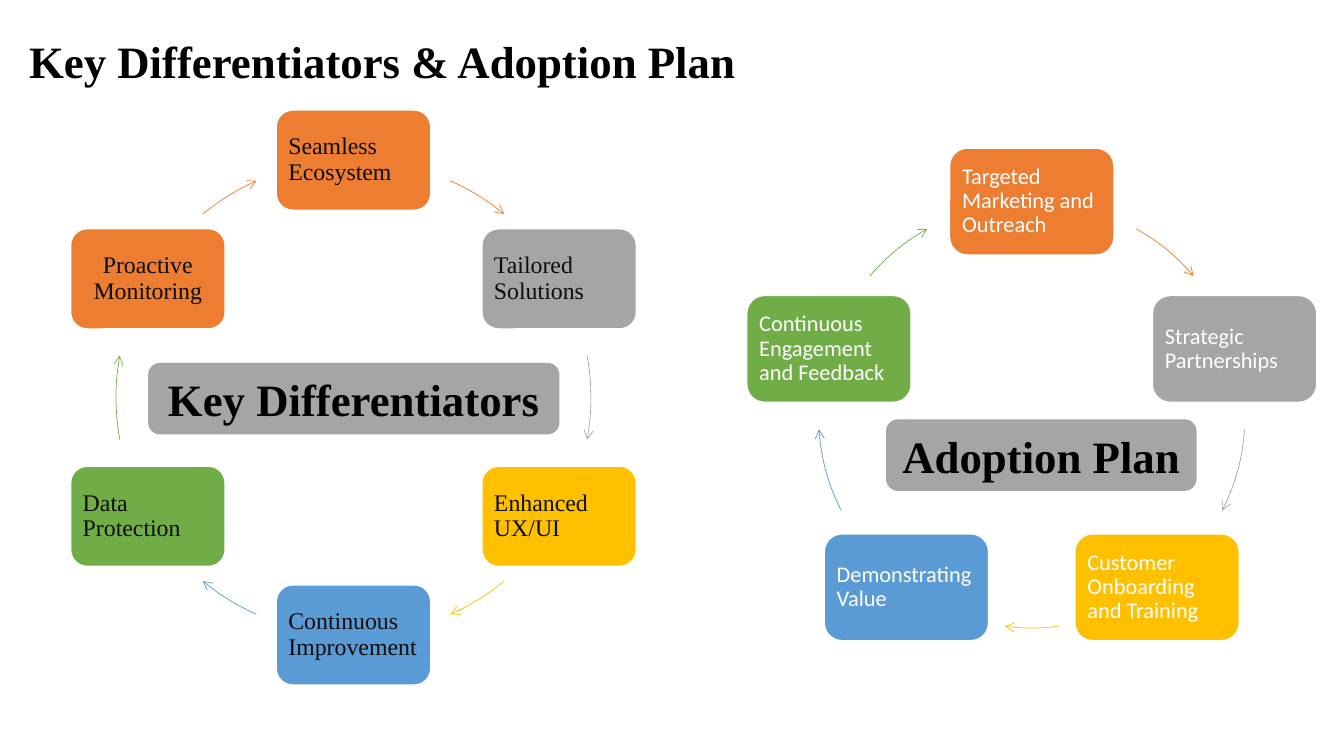
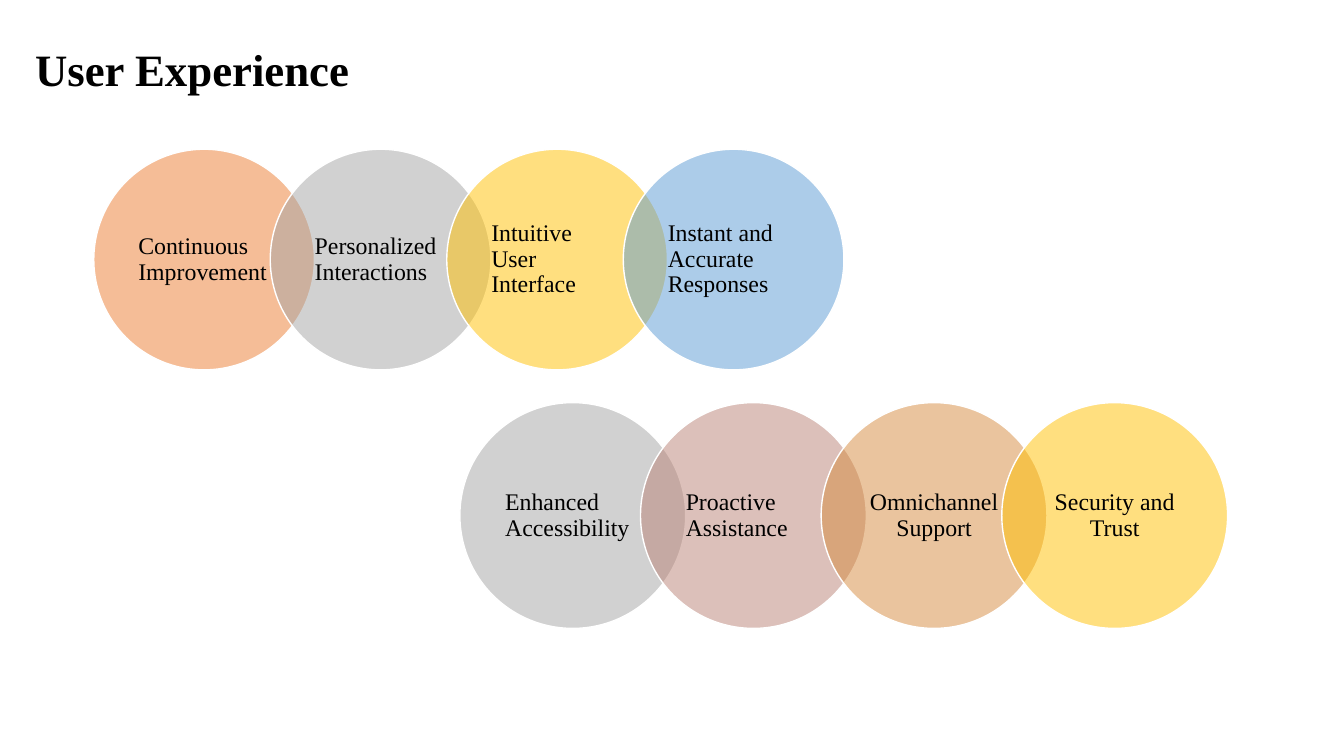
from math import cos, radians, sin

from lxml import etree
from pptx import Presentation
from pptx.dml.color import RGBColor
from pptx.enum import shapes, text
from pptx.oxml import ns
from pptx.util import Pt

BLACK = RGBColor(0x00, 0x00, 0x00)
INK = RGBColor(0x0D, 0x0D, 0x0D)
WHITE = RGBColor(0xFF, 0xFF, 0xFF)
ORANGE = RGBColor(0xED, 0x7D, 0x31)
GREY = RGBColor(0xA5, 0xA5, 0xA5)
GOLD = RGBColor(0xFF, 0xC0, 0x00)
BLUE = RGBColor(0x5B, 0x9B, 0xD5)
GREEN = RGBColor(0x70, 0xAD, 0x47)
ROSE = RGBColor(0xBB, 0x83, 0x76)
COPPER = RGBColor(0xD6, 0x8B, 0x3E)

SERIF, SANS = "Times New Roman", "Calibri"
LEFT, CENTER = text.PP_ALIGN.LEFT, text.PP_ALIGN.CENTER

HEADING = {"name": SERIF, "size": Pt(32), "bold": True}
SERIF_BODY = {"name": SERIF, "size": Pt(17)}
SANS_BODY = {"name": SANS, "size": Pt(16)}

# Every frame wraps; only margins and anchor differ.
TITLE_FRAME = {"margin_left": Pt(7.2), "margin_top": Pt(10.8),
               "vertical_anchor": text.MSO_ANCHOR.TOP}
LABEL_FRAME = {"vertical_anchor": text.MSO_ANCHOR.MIDDLE}
STEP_FRAME = LABEL_FRAME | {f"margin_{side}": Pt(5.2)
                            for side in ("left", "top", "right", "bottom")}
CIRCLE_FRAME = LABEL_FRAME | {"margin_left": Pt(8.7), "margin_right": Pt(8.7),
                              "margin_top": Pt(1.5), "margin_bottom": Pt(1.5)}
OVERLAP = 0.2


def apply(target, values):
    for name, value in values.items():
        setattr(target, name, value)


def write(shape, words, frame, font, color, align=LEFT, spacing=1.0):
    apply(shape.text_frame, {"word_wrap": True} | frame)
    paragraph = shape.text_frame.paragraphs[0]
    apply(paragraph, {"text": words, "alignment": align, "line_spacing": spacing})
    apply(paragraph.font, font)
    paragraph.font.color.rgb = color


def add_title(slide, words, left, top):
    box = slide.shapes.add_textbox(Pt(left), Pt(top), Pt(691), Pt(45.4))
    write(box, words, TITLE_FRAME, HEADING, BLACK)


def add_filled(slide, kind, left, top, width, height, color, outlined=True):
    shape = slide.shapes.add_shape(kind, Pt(left), Pt(top), Pt(width), Pt(height))
    shape.shadow.inherit = False
    shape.fill.solid()
    shape.fill.fore_color.rgb = color
    if outlined:
        shape.line.color.rgb = WHITE
        shape.line.width = Pt(1)
    else:
        shape.line.fill.background()
    return shape


def add_label(slide, words, left, top, width):
    label = add_filled(slide, shapes.MSO_SHAPE.ROUNDED_RECTANGLE,
                       left, top, width, 51.1, GREY, outlined=False)
    write(label, words, LABEL_FRAME, HEADING, BLACK, CENTER)


def add_arc_arrow(slide, center, radius, span, color):
    """Draw a clockwise arrow; span holds degrees from twelve o'clock."""
    x, y = center
    arc = slide.shapes.add_shape(shapes.MSO_SHAPE.ARC, Pt(x - radius), Pt(y - radius),
                                 Pt(2 * radius), Pt(2 * radius))
    arc.shadow.inherit = False
    arc.fill.background()
    for index, angle in enumerate(span):
        # An angle is stored in 1/60000 degree, an adjustment in 1/100000.
        arc.adjustments[index] = (angle - 90) % 360 * 0.6
    arc.line.color.rgb = color
    arc.line.width = Pt(0.5)
    etree.SubElement(arc.line._get_or_add_ln(), ns.qn("a:tailEnd"), type="arrow")


def add_cycle(slide, center, radius, box_size, right_spans, steps, font, color):
    """Place steps clockwise from the top; left arrows mirror the right ones."""
    width, height = box_size
    mirrored = [(360 - end, 360 - start)
                for start, end in right_spans[:len(steps) - len(right_spans)]]
    spans = right_spans + mirrored[::-1]
    for index, ((words, fill, align), span) in enumerate(zip(steps, spans)):
        angle = radians(360 * index / len(steps))
        box = add_filled(slide, shapes.MSO_SHAPE.ROUNDED_RECTANGLE,
                         center[0] + radius * sin(angle) - width / 2,
                         center[1] - radius * cos(angle) - height / 2,
                         width, height, fill)
        write(box, words, STEP_FRAME, font, color, align, 0.9)
        add_arc_arrow(slide, center, radius, span, fill)


def add_circle_chain(slide, left, top, diameter, links):
    for index, (words, color, align) in enumerate(links):
        circle = add_filled(slide, shapes.MSO_SHAPE.OVAL,
                            left + index * diameter * (1 - OVERLAP), top,
                            diameter, diameter, color)
        tint = circle.fill._xPr.find(ns.qn("a:solidFill"))[0]
        etree.SubElement(tint, ns.qn("a:alpha"), val="50000")
        write(circle, words, CIRCLE_FRAME, SERIF_BODY, BLACK, align, 0.9)


def build_differentiators(slide):
    add_title(slide, "Key Differentiators & Adoption Plan", 13.7, 13)
    add_cycle(slide, (252.5, 284), 169.6, (110.4, 71.6),
              [(24.1, 39.4), (79.8, 100.2), (140.6, 155.9)],
              [("Seamless Ecosystem", ORANGE, LEFT),
               ("Tailored Solutions", GREY, LEFT),
               ("Enhanced UX/UI", GOLD, LEFT),
               ("Continuous Improvement", BLUE, LEFT),
               ("Data Protection", GREEN, LEFT),
               ("Proactive Monitoring", ORANGE, CENTER)],
              SERIF_BODY, INK)
    add_cycle(slide, (737, 296.3), 152.3, (117.4, 76.3),
              [(29.3, 49.4), (93.9, 116.7), (172.8, 187.2)],
              [("Targeted Marketing and Outreach", ORANGE, LEFT),
               ("Strategic Partnerships", GREY, LEFT),
               ("Customer Onboarding and Training", GOLD, LEFT),
               ("Demonstrating Value", BLUE, LEFT),
               ("Continuous Engagement and Feedback", GREEN, LEFT)],
              SANS_BODY, WHITE)
    add_label(slide, "Key Differentiators", 105.8, 259.2, 293.8)
    add_label(slide, "Adoption Plan", 632.9, 299.5, 221.8)


def build_user_experience(slide):
    add_title(slide, "User Experience", 18, 18.7)
    add_circle_chain(slide, 67, 106.6, 157.6,
                     [("Continuous Improvement", ORANGE, LEFT),
                      ("Personalized Interactions", GREY, LEFT),
                      ("Intuitive User Interface", GOLD, LEFT),
                      ("Instant and Accurate Responses", BLUE, LEFT)])
    add_circle_chain(slide, 328.5, 287.6, 161.3,
                     [("Enhanced Accessibility", GREY, LEFT),
                      ("Proactive Assistance", ROSE, LEFT),
                      ("Omnichannel Support", COPPER, CENTER),
                      ("Security and Trust", GOLD, CENTER)])


def main():
    deck = Presentation()
    deck.slide_width, deck.slide_height = Pt(960), Pt(540)
    for build in (build_differentiators, build_user_experience):
        build(deck.slides.add_slide(deck.slide_layouts[6]))
    deck.save("out.pptx")


if __name__ == "__main__":
    main()
